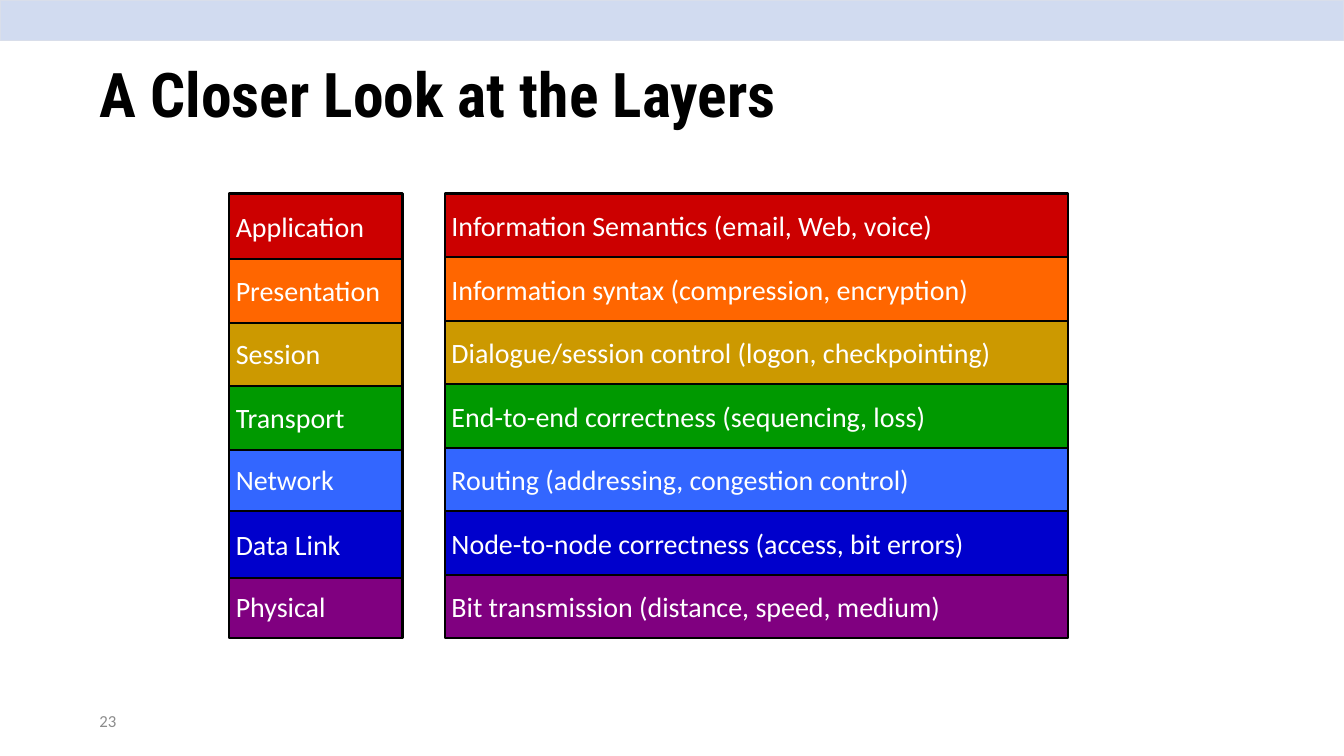
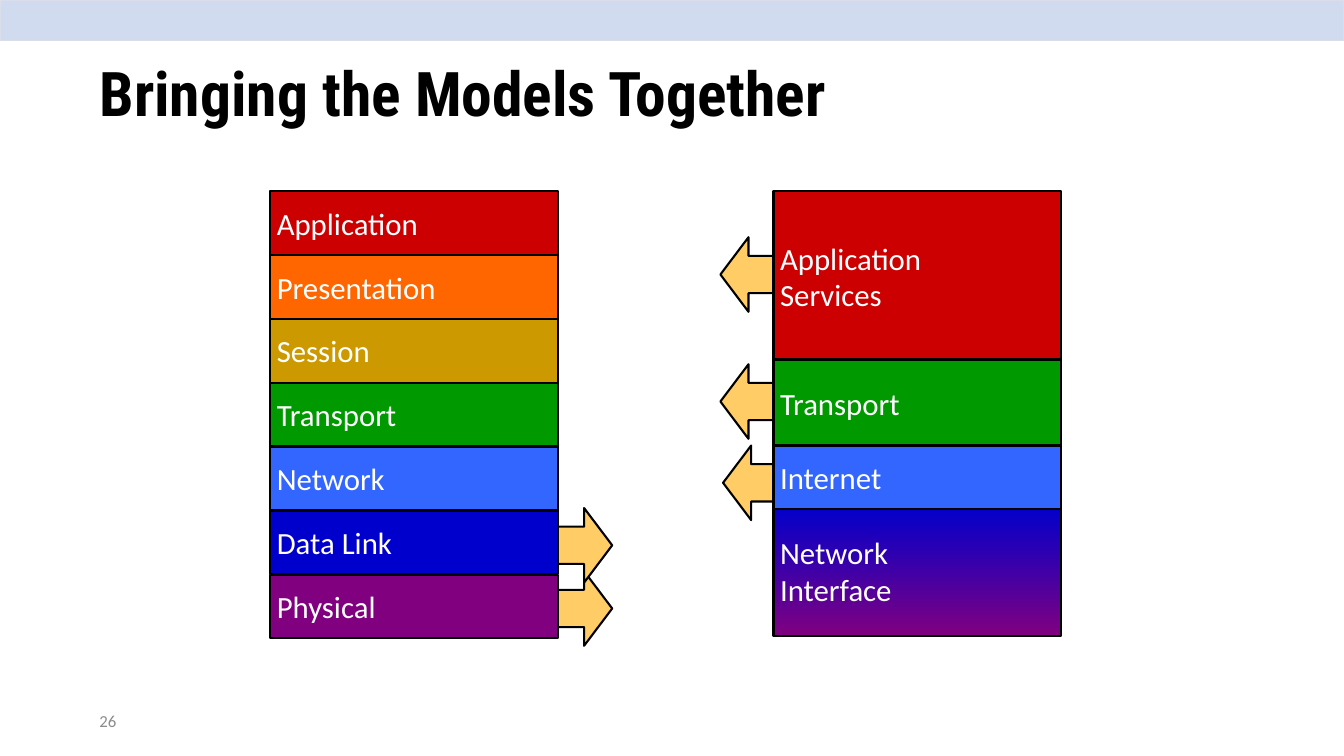
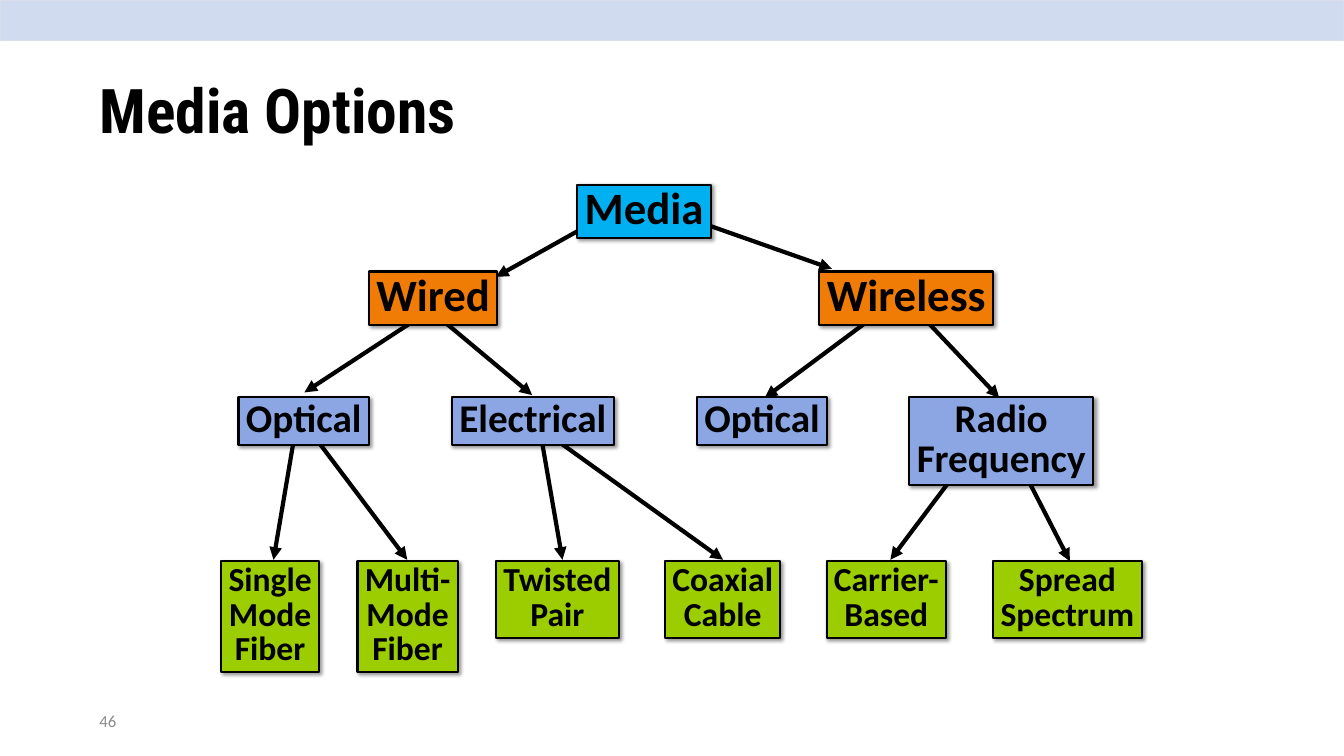
"""Build three slides on network layers, layer models and transmission media."""
from dataclasses import dataclass

import lxml.etree
import pptx
import pptx.dml.color
import pptx.enum.shapes
import pptx.enum.text
import pptx.oxml
import pptx.oxml.ns
import pptx.presentation
import pptx.shapes.autoshape
import pptx.slide
import pptx.text.text
import pptx.util

Inches = pptx.util.Inches
Pt = pptx.util.Pt
Shape = pptx.enum.shapes.MSO_SHAPE
Align = pptx.enum.text.PP_ALIGN
Anchor = pptx.enum.text.MSO_ANCHOR
qn = pptx.oxml.ns.qn

COLORS = {
    "black": "000000",
    "white": "FFFFFF",
    "band": "D1DBF0",
    "band edge": "D9DEEA",
    "page number": "8C8C8C",
    "application": "CC0000",
    "presentation": "FF6600",
    "session": "CC9900",
    "transport": "009900",
    "network": "3366FF",
    "data link": "0000CC",
    "physical": "800080",
    "arrow": "FFCC66",
    "media": "00B0F0",
    "access": "F07B05",
    "signal": "8BA6E3",
    "cable": "9BCD00",
}
BODY_FONT = "Calibri"
TITLE_FONT = "Roboto Condensed"
EDGE = 2.25


@dataclass(frozen=True)
class Layer:
    name: str
    duty: str
    color: str
    name_height: float


@dataclass(frozen=True)
class Block:
    text: str
    color: str
    top: float
    height: float
    end_color: str = ""


@dataclass(frozen=True)
class Pointer:
    direction: Shape
    left: float
    top: float


@dataclass(frozen=True)
class Level:
    color: str
    size: int
    top: float


@dataclass(frozen=True)
class Node:
    text: str
    level: Level
    left: float
    width: float
    height: float


@dataclass(frozen=True)
class Branch:
    start: tuple[float, float]
    end: tuple[float, float]


LAYERS = [
    Layer("Application", "Information Semantics (email, Web, voice)", "application", 0.98),
    Layer("Presentation", "Information syntax (compression, encryption)", "presentation", 0.98),
    Layer("Session", "Dialogue/session control (logon, checkpointing)", "session", 0.98),
    Layer("Transport", "End-to-end correctness (sequencing, loss)", "transport", 0.98),
    Layer("Network", "Routing (addressing, congestion control)", "network", 0.95),
    Layer("Data Link", "Node-to-node correctness (access, bit errors)", "data link", 1),
    Layer("Physical", "Bit transmission (distance, speed, medium)", "physical", 0.95),
]
LAYER_HEIGHT = 0.95
LAST_LAYER_TOP = 8.55

INTERNET_MODEL = [
    Block("Application\nServices", "application", 2.84, 2.54),
    Block("Transport", "transport", 5.35, 1.3),
    Block("Network\nInterface", "data link", 7.53, 1.93, "physical"),
    Block("Internet", "network", 6.63, 0.95),
]
POINTERS = [
    Pointer(Shape.LEFT_ARROW, 10.76, 6.63),
    Pointer(Shape.LEFT_ARROW, 10.72, 5.42),
    Pointer(Shape.LEFT_ARROW, 10.72, 3.53),
    Pointer(Shape.RIGHT_ARROW, 8.29, 8.5),
    Pointer(Shape.RIGHT_ARROW, 8.29, 7.56),
]

MEDIA = Level("media", 48, 2.75)
ACCESS = Level("access", 48, 4.04)
SIGNAL = Level("signal", 42, 5.91)
CABLE = Level("cable", 36, 8.35)
NODES = [
    Node("Media", MEDIA, 8.59, 1.99, 0.79),
    Node("Wired", ACCESS, 5.49, 1.91, 0.79),
    Node("Wireless", ACCESS, 12.19, 2.59, 0.79),
    Node("Optical", SIGNAL, 3.55, 1.94, 0.71),
    Node("Electrical", SIGNAL, 6.72, 2.42, 0.71),
    Node("Optical", SIGNAL, 10.37, 1.94, 0.71),
    Node("Radio\nFrequency", SIGNAL, 13.53, 2.74, 1.31),
    Node("Single\nMode\nFiber", CABLE, 3.29, 1.46, 1.65),
    Node("Multi-\nMode\nFiber", CABLE, 5.32, 1.49, 1.65),
    Node("Twisted\nPair", CABLE, 7.38, 1.83, 1.14),
    Node("Coaxial\nCable", CABLE, 9.9, 1.71, 1.14),
    Node("Carrier-\nBased", CABLE, 12.3, 1.78, 1.14),
    Node("Spread\nSpectrum", CABLE, 14.78, 2.21, 1.14),
]
BRANCHES = [
    Branch((9.38, 3), (7.38, 4.12)),
    Branch((10.25, 3.25), (12.38, 4)),
    Branch((6.41, 4.61), (4.53, 5.84)),
    Branch((6.41, 4.62), (7.92, 5.88)),
    Branch((13.45, 4.38), (11.38, 5.92)),
    Branch((13.45, 4.42), (14.87, 5.92)),
    Branch((4.38, 6.5), (4.07, 8.33)),
    Branch((4.59, 6.38), (6.06, 8.33)),
    Branch((8.03, 6.37), (8.37, 8.33)),
    Branch((8.03, 6.37), (10.76, 8.33)),
    Branch((14.83, 6.23), (13.25, 8.33)),
    Branch((14.83, 6.23), (15.92, 8.35)),
]


def rgb(color: str) -> pptx.dml.color.RGBColor:
    return pptx.dml.color.RGBColor.from_string(COLORS[color])


def write(frame: pptx.text.text.TextFrame, text: str, size: float, color: str,
          font: str = BODY_FONT, bold: bool = False, align: Align = Align.LEFT,
          anchor: Anchor = Anchor.MIDDLE, spacing: float = 1.0) -> None:
    frame.word_wrap = True
    frame.vertical_anchor = anchor
    paragraph = frame.paragraphs[0]
    paragraph.text = text
    paragraph.alignment = align
    paragraph.line_spacing = spacing
    for run in paragraph.runs:
        run.font.size = Pt(size)
        run.font.name = font
        run.font.bold = bold
        run.font.color.rgb = rgb(color)


def draw_shape(shapes, kind: Shape, left: float, top: float, width: float, height: float,
               fill: str, edge: str = "black",
               edge_width: float = EDGE) -> pptx.shapes.autoshape.Shape:
    shape = shapes.add_shape(kind, Inches(left), Inches(top), Inches(width), Inches(height))
    shape.shadow.inherit = False
    shape.fill.solid()
    shape.fill.fore_color.rgb = rgb(fill)
    shape.line.color.rgb = rgb(edge)
    shape.line.width = Pt(edge_width)
    return shape


def draw_layer(shapes, text: str, left: float, top: float, width: float, height: float,
               color: str, size: float) -> pptx.shapes.autoshape.Shape:
    layer = draw_shape(shapes, Shape.RECTANGLE, left, top, width, height, color)
    write(layer.text_frame, text, size, "white")
    return layer


def draw_block(slide: pptx.slide.Slide, block: Block) -> None:
    layer = draw_layer(slide.shapes, block.text, 11.51, block.top, 4.28, block.height,
                       block.color, 33)
    if block.end_color:
        layer.fill.gradient()
        layer.fill.gradient_angle = 270
        for stop, color in zip(layer.fill.gradient_stops, (block.color, block.end_color)):
            stop.color.rgb = rgb(color)


def draw_pointer(slide: pptx.slide.Slide, pointer: Pointer) -> None:
    arrow = draw_shape(slide.shapes, pointer.direction, pointer.left, pointer.top,
                       0.82, 1.11, "arrow")
    arrow.adjustments[0] = 0.5
    arrow.adjustments[1] = 0.51


def cast_shadow(shape: pptx.shapes.autoshape.Shape) -> None:
    effects = shape.element.spPr.find(qn("a:effectLst"))
    shadow = lxml.etree.SubElement(effects, qn("a:outerShdw"), blurRad=str(Pt(4)),
                                   dist=str(Pt(3)), dir="2700000", algn="tl", rotWithShape="0")
    tone = lxml.etree.SubElement(shadow, qn("a:srgbClr"), val=COLORS["black"])
    lxml.etree.SubElement(tone, qn("a:alpha"), val="40000")


def draw_node(slide: pptx.slide.Slide, node: Node) -> None:
    box = draw_shape(slide.shapes, Shape.RECTANGLE, node.left, node.level.top,
                     node.width, node.height, node.level.color)
    cast_shadow(box)
    write(box.text_frame, node.text, node.level.size, "black", bold=True,
          align=Align.CENTER, anchor=Anchor.TOP, spacing=0.85)
    box.text_frame.word_wrap = False
    box.text_frame.auto_size = pptx.enum.text.MSO_AUTO_SIZE.SHAPE_TO_FIT_TEXT


def draw_branch(slide: pptx.slide.Slide, branch: Branch) -> None:
    ends = [Inches(value) for value in (*branch.start, *branch.end)]
    arrow = slide.shapes.add_connector(pptx.enum.shapes.MSO_CONNECTOR.STRAIGHT, *ends)
    arrow.line.color.rgb = rgb("black")
    arrow.line.width = Pt(4.5)
    lxml.etree.SubElement(arrow.line._get_or_add_ln(), qn("a:tailEnd"), type="triangle")
    lxml.etree.SubElement(arrow.element.spPr, qn("a:effectLst"))


def add_slide(deck: pptx.presentation.Presentation, heading: str, heading_top: float,
              number: int) -> pptx.slide.Slide:
    slide = deck.slides.add_slide(deck.slide_layouts[5])
    title = slide.shapes.title
    title.left, title.top = Inches(1.38), Inches(heading_top)
    title.width, title.height = Inches(17.25), Inches(2.17)
    write(title.text_frame, heading, 66, "black", TITLE_FONT, True, spacing=0.9)
    page = slide.shapes.add_textbox(Inches(1.38), Inches(10.43), Inches(4.5), Inches(0.6))
    write(page.text_frame, str(number), 18, "page number")
    return slide


def add_band_to_master(deck: pptx.presentation.Presentation, slide: pptx.slide.Slide) -> None:
    band = draw_shape(slide.shapes, Shape.RECTANGLE, 0, 0, 20, 0.6, "band", "band edge", 1)
    deck.slide_master.shapes.element.insert(2, band.element)


def layer_tops(first: float) -> list[float]:
    step = (LAST_LAYER_TOP - first) / (len(LAYERS) - 1)
    return [first + step * index for index in range(len(LAYERS))]


def fill_closer_look(slide: pptx.slide.Slide) -> None:
    for layer, top in reversed(list(zip(LAYERS, layer_tops(2.88)))):
        row = slide.shapes.add_group_shape().shapes
        draw_layer(row, layer.name, 3.41, top, 2.58, layer.name_height, layer.color, 30)
        draw_layer(row, layer.duty, 6.62, top, 9.27, LAYER_HEIGHT, layer.color, 30)


def fill_models(slide: pptx.slide.Slide) -> None:
    for pointer in POINTERS:
        draw_pointer(slide, pointer)
    for layer, top in zip(LAYERS, layer_tops(2.84)):
        draw_layer(slide.shapes, layer.name, 4.02, top, 4.28, LAYER_HEIGHT, layer.color, 33)
    for block in INTERNET_MODEL:
        draw_block(slide, block)


def fill_media(slide: pptx.slide.Slide) -> None:
    for branch in BRANCHES:
        draw_branch(slide, branch)
    for node in NODES:
        draw_node(slide, node)


def main() -> None:
    deck = pptx.Presentation()
    deck.slide_width, deck.slide_height = Inches(20), Inches(11.25)
    closer_look = add_slide(deck, "A Closer Look at the Layers", 0.37, 23)
    add_band_to_master(deck, closer_look)
    fill_closer_look(closer_look)
    fill_models(add_slide(deck, "Bringing the Models Together", 0.35, 26))
    fill_media(add_slide(deck, "Media Options", 0.6, 46))
    deck.save("out.pptx")


if __name__ == "__main__":
    main()
